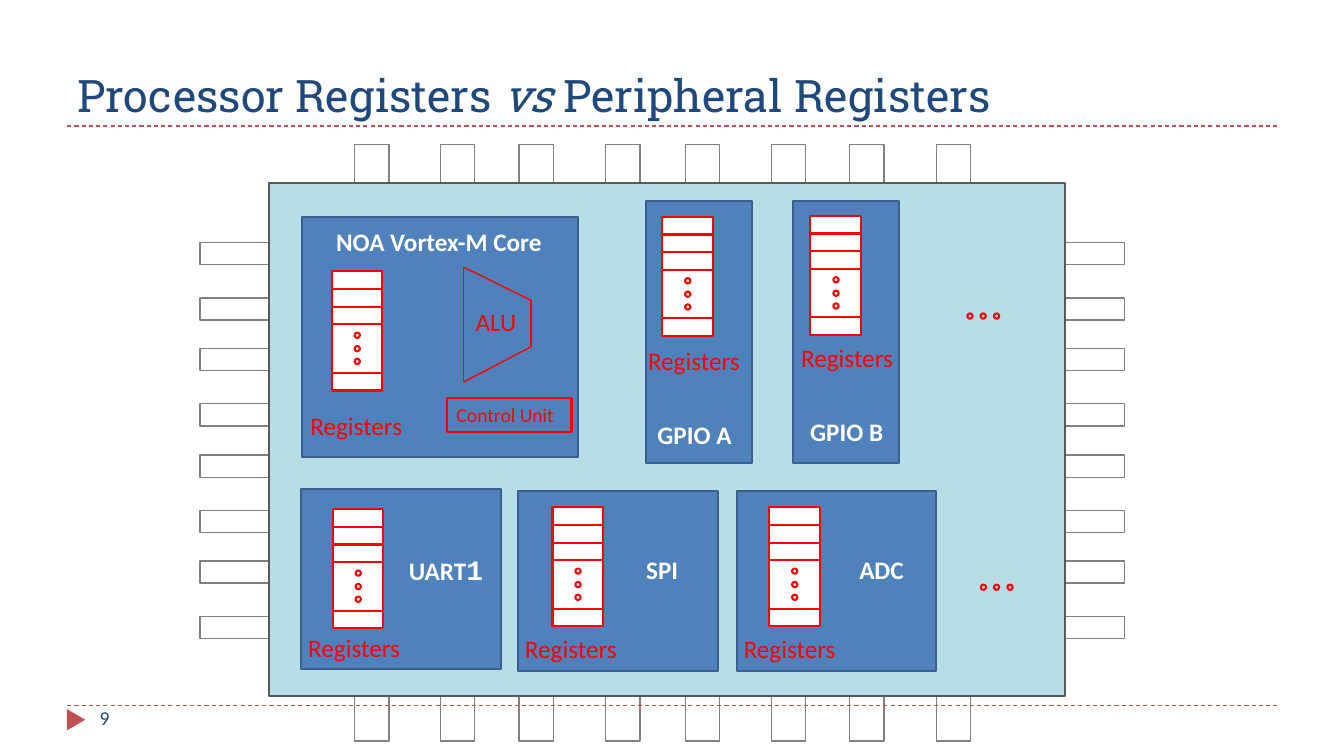
"""Build a slide that sets processor registers beside peripheral registers."""
from lxml import etree
from pptx import Presentation
from pptx import util as u
from pptx.dml.color import RGBColor
from pptx.enum import dml, shapes, text
from pptx.oxml.ns import qn

HUES = {"navy": "1F497D", "brick": "C0504D", "gray": "808080", "dark": "595959",
        "pale": "B7DEE8", "blue": "4F81BD", "edge": "3A5F8C", "red": "FF0000",
        "white": "FFFFFF"}
INK = {name: RGBColor.from_string(code) for name, code in HUES.items()}
RECT = shapes.MSO_SHAPE.RECTANGLE
OVAL = shapes.MSO_SHAPE.OVAL
LEFT, MID = text.PP_ALIGN.LEFT, text.PP_ALIGN.CENTER

deck = Presentation()
deck.slide_width, deck.slide_height = u.Pt(960), u.Pt(540)
slide = deck.slides.add_slide(deck.slide_layouts[6])


def draw(kind, x, y, w, h, fill=None, line=None, width=1.5):
    item = slide.shapes.add_shape(kind, u.Pt(x), u.Pt(y), u.Pt(w), u.Pt(h))
    item.shadow.inherit = False
    if fill:
        item.fill.solid()
        item.fill.fore_color.rgb = INK[fill]
    else:
        item.fill.background()
    if line:
        item.line.color.rgb = INK[line]
        item.line.width = u.Pt(width)
    else:
        item.line.fill.background()
    return item


def label(x, y, w, h, words, hue="red", size=18, bold=False, align=LEFT):
    box = slide.shapes.add_textbox(u.Pt(x), u.Pt(y), u.Pt(w), u.Pt(h))
    box.text_frame.word_wrap = False
    par = box.text_frame.paragraphs[0]
    par.alignment = align
    for word in words:
        run = par.add_run()
        run.text = word
        run.font.name = "Calibri"
        run.font.size = u.Pt(size)
        run.font.bold = bold
        run.font.color.rgb = INK[hue]
    return box


title = label(48, 12.2, 864, 77.8, ["Processor Registers ", "vs", " Peripheral Registers"],
              "navy", 32)
title.text_frame.word_wrap = True
title.text_frame.vertical_anchor = text.MSO_ANCHOR.BOTTOM
for run in title.text_frame.paragraphs[0].runs:
    run.font.name = "Roboto Slab"
    run.font.italic = run.text == "vs"

mark = draw(shapes.MSO_SHAPE.ISOSCELES_TRIANGLE, 46.8, 507.6, 15.1, 13, "brick")
mark.rotation = 90
label(64.1, 500.4, 208, 28.8, ["9"], "navy", 14)

for start in (253.4, 489.6):
    for step in (0, 61.3, 117.4, 179.2):
        draw(RECT, start + step, 103, 24.5, 426.2, line="gray", width=1)
for start in (173.2, 325.1):
    for step in (0, 39.6, 75.6, 115.2):
        draw(RECT, 142.9, start + step, 660.2, 15.8, line="gray", width=1)
draw(RECT, 192.2, 131, 568.8, 366.5, "pale", "dark")

blocks = [
    ((216, 154.8, 196.6, 171.4), (236.9, 193.7), (214.6, 289.4),
     (217.4, 158.4, 192.2), ["NOA Vortex-M Core"]),
    ((461.5, 143.3, 75.6, 187.2), (473, 154.8), (455.8, 243.4),
     (455.8, 295.9, 80.6), ["GPIO A"]),
    ((566.6, 143.3, 75.6, 187.2), (578.9, 154.1), (565.2, 241.2),
     (564.5, 293.8, 80.6), ["GPIO B"]),
    ((215.3, 349.2, 142.6, 128.9), (237.6, 363.6), (213.1, 447.8),
     (279.4, 391, 78.5), ["UART", "1"]),
    ((370.1, 350.6, 142.6, 128.9), (394.6, 362.2), (367.9, 448.6),
     (451.4, 392.4, 43.2), ["SPI"]),
    ((526.3, 350.6, 142.6, 128.9), (549.4, 362.2), (524.2, 448.6),
     (601.2, 392.4, 56.9), ["ADC"]),
]
for frame, (x, y), spot, (left, top, wide), words in blocks:
    draw(RECT, *frame, "blue", "edge")
    for down, tall in ((38, 34.6), (0, 12.7), (12.7, 12.7), (25.4, 12.7), (72.6, 12.7)):
        draw(RECT, x, y + down, 36.3, tall, "white", "red")
    for down in (43.9, 53.5, 62.6):
        draw(OVAL, x + 16.4, y + down, 3.7, 3.7, line="red")
    label(*spot, 82.1, 28.8, ["Registers"])
    name = label(left, top, wide, 28.8, words, "white", 18, True, MID)
    if len(words) > 1:
        digit = name.text_frame.paragraphs[0].runs[1]
        digit.font.name, digit.font.size = "Courier New", u.Pt(20)

for x, y in ((691, 223.9), (700.6, 417.6)):
    for step in (0, 9.4, 19):
        draw(OVAL, x + step, y, 3.7, 3.7, line="red")

label(332.6, 215.3, 48.2, 28.8, ["ALU"])
unit = label(319, 284.4, 89.3, 24.5, ["Control Unit"], size=14)
unit.line.color.rgb = INK["red"]
unit.line.width = u.Pt(1.5)

lines = [
    (48, 504, 912, 504, "brick", 0.75), (48, 90, 912, 90, "brick", 0.75),
    (331.2, 190.8, 331.2, 272.9, "red", 1), (379.4, 214.6, 379.4, 247.7, "red", 1),
    (331.2, 272.9, 379.4, 247.7, "red", 1), (331.2, 190.8, 379.4, 214.6, "red", 1),
]
for *ends, hue, width in lines:
    rule = slide.shapes.add_connector(shapes.MSO_CONNECTOR.STRAIGHT, *map(u.Pt, ends))
    rule.line.color.rgb = INK[hue]
    rule.line.width = u.Pt(width)
    if hue == "brick":
        rule.line.dash_style = dml.MSO_LINE.DASH
    etree.SubElement(rule.element.spPr, qn("a:effectLst"))

deck.save("out.pptx")
